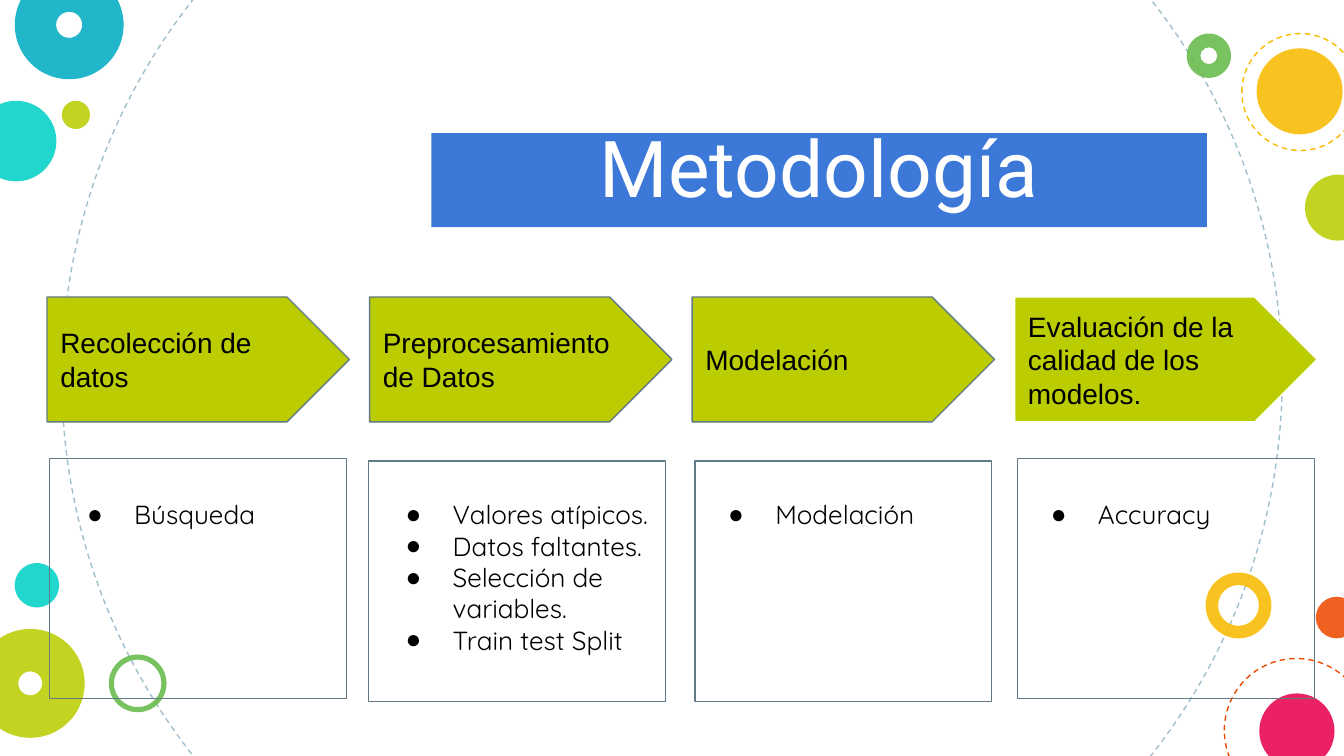
import pptx
import pptx.util
import pptx.dml.color
import pptx.oxml
import pptx.oxml.ns
from pptx.enum.dml import MSO_LINE
from pptx.enum.shapes import MSO_SHAPE
from pptx.enum.text import MSO_ANCHOR, MSO_AUTO_SIZE, PP_ALIGN
from lxml import etree

PX = 9144  # 100 px to the inch
SLATE, LIME = "617A86", "BBCD00"


def add_shape(kind, left, top, width, height, fill=None, line=None, dash=False, alpha=None):
    shape = page.shapes.add_shape(kind, left * PX, top * PX, width * PX, height * PX)
    shape.shadow.inherit = False
    if fill:
        shape.fill.solid()
        shape.fill.fore_color.rgb = pptx.dml.color.RGBColor.from_string(fill)
        if alpha:
            color = shape.fill._xPr.find(".//" + pptx.oxml.ns.qn("a:srgbClr"))
            etree.SubElement(color, pptx.oxml.ns.qn("a:alpha"), val=str(alpha * 1000))
    else:
        shape.fill.background()
    if line:
        shape.line.color.rgb = pptx.dml.color.RGBColor.from_string(line)
        shape.line.width = pptx.util.Pt(0.75)
        if dash:
            shape.line.dash_style = MSO_LINE.DASH
    else:
        shape.line.fill.background()
    return shape


def write(box, lines, font, size, color="000000", align=PP_ALIGN.LEFT,
          anchor=MSO_ANCHOR.TOP, bullets=False):
    frame = box.text_frame
    frame.word_wrap = True
    frame.vertical_anchor = anchor
    frame.margin_left = frame.margin_right = 10 * PX
    frame.margin_top = frame.margin_bottom = 10 * PX
    for index, text in enumerate(lines):
        para = frame.paragraphs[0] if index == 0 else frame.add_paragraph()
        para.alignment = align
        span = para.add_run()
        span.text = text
        span.font.name = font
        span.font.size = pptx.util.Pt(size)
        span.font.color.rgb = pptx.dml.color.RGBColor.from_string(color)
        if bullets:
            props = para._p.get_or_add_pPr()
            props.set("marL", str(50 * PX))
            props.set("indent", str(-35 * PX))
            bullet_color = etree.SubElement(props, pptx.oxml.ns.qn("a:buClr"))
            etree.SubElement(bullet_color, pptx.oxml.ns.qn("a:srgbClr"), val=color)
            etree.SubElement(props, pptx.oxml.ns.qn("a:buFont"), typeface="Arial")
            etree.SubElement(props, pptx.oxml.ns.qn("a:buChar"), char="●")


deck = pptx.Presentation()
deck.slide_width = 1000 * PX
deck.slide_height = deck.slide_width * 9 // 16
page = deck.slides.add_slide(deck.slide_layouts[6])

# Dashed rings: left, top, diameter, colour
for left, top, size, color in [
    (46, -173, 908, "A1BECC"),
    (911, 490, 107, "ED4A00"),
    (924, 25, 87, "F8BB00"),
]:
    add_shape(MSO_SHAPE.OVAL, left, top, size, size, line=color, dash=True)

# Translucent discs: left, top, diameter, colour
for left, top, size, color in [
    (-18, 75, 60, "00D1C6"),
    (46, 75, 21, LIME),
    (979, 444, 31, "ED4A00"),
    (937, 516, 56, "E8004C"),
    (935, 36, 64, "F8BB00"),
    (971, 130, 49, LIME),
    (11, 419, 33, "00D1C6"),
]:
    add_shape(MSO_SHAPE.OVAL, left, top, size, size, fill=color, alpha=87)

# Translucent donuts: left, top, diameter, colour, thickness ratio
for left, top, size, color, thickness in [
    (897, 426, 49, "F8BB00", 0.19),
    (11, -22, 81, "00ACC3", 0.38),
    (81, 487, 43, "65BB48", 0.09),
    (-18, 468, 81, LIME, 0.39),
    (883, 25, 33, "65BB48", 0.31),
]:
    donut = add_shape(MSO_SHAPE.DONUT, left, top, size, size, fill=color, alpha=87)
    donut.adjustments[0] = thickness

title = add_shape(MSO_SHAPE.RECTANGLE, 321, 99, 577, 70, fill="3C78D8")
write(title, ["Metodología"], "Roboto", 42, color="FFFFFF",
      align=PP_ALIGN.CENTER, anchor=MSO_ANCHOR.BOTTOM)

# Stages: name, arrow outline, frame left and top, list left, width and height, items
stages = [
    ("Recolección de datos", SLATE, 37, 341, 40, 205, 44, ["Búsqueda"]),
    ("Preprocesamiento de Datos", SLATE, 274, 343, 277, 221, 138,
     ["Valores atípicos.", "Datos faltantes.", "Selección de variables.", "Train test Split"]),
    ("Modelación", SLATE, 517, 343, 517, 221, 44, ["Modelación"]),
    ("Evaluación de la calidad de los modelos.", "FFFFFF", 757, 341, 757, 221, 44,
     ["Accuracy"]),
]
for column, stage in enumerate(stages):
    name, outline, frame_left, frame_top, list_left, list_width, list_height, items = stage
    arrow = add_shape(MSO_SHAPE.PENTAGON, 35 + 240 * column, 221, 225, 93,
                      fill=LIME, line=outline)
    write(arrow, [name], "Arial", 15, anchor=MSO_ANCHOR.MIDDLE)
    add_shape(MSO_SHAPE.RECTANGLE, frame_left, frame_top, 221, 179, line=SLATE)
    box = page.shapes.add_textbox(list_left * PX, 361 * PX, list_width * PX, list_height * PX)
    write(box, items, "Quicksand", 14, bullets=True)
    box.text_frame.auto_size = MSO_AUTO_SIZE.SHAPE_TO_FIT_TEXT

deck.save("out.pptx")
